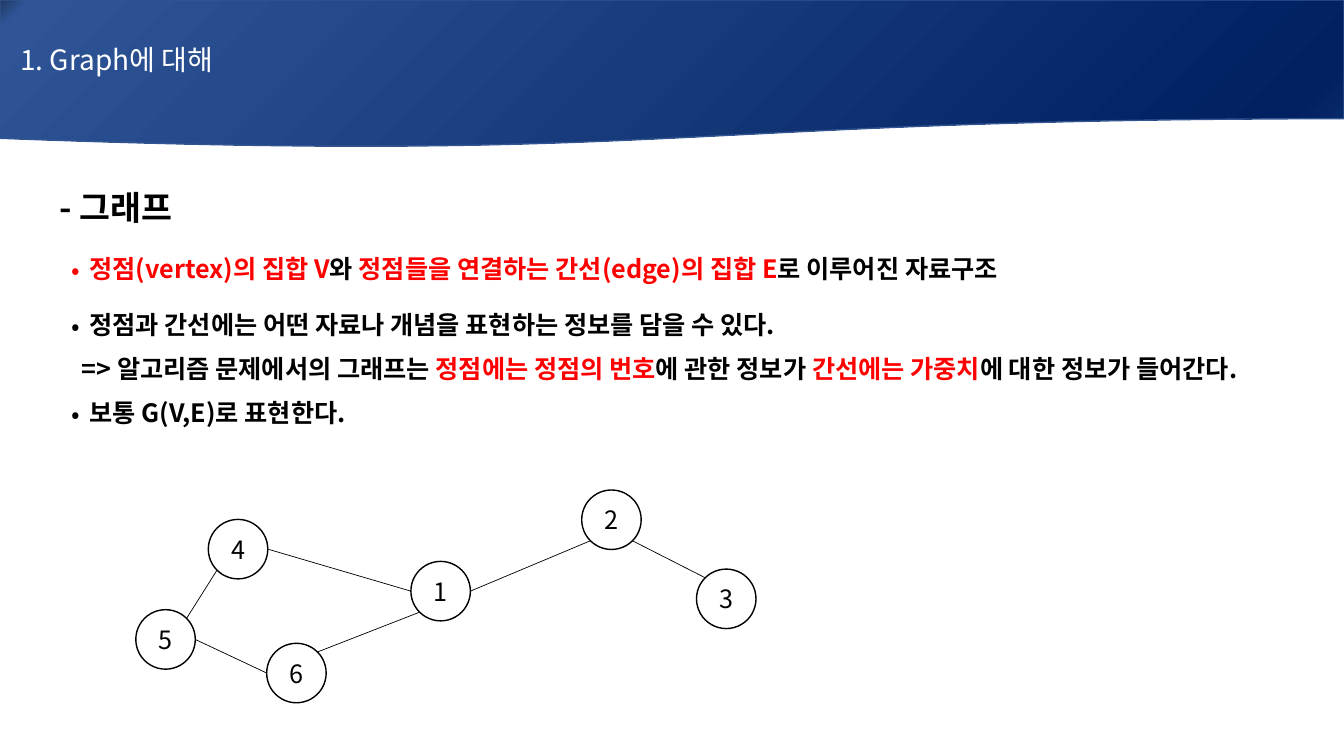
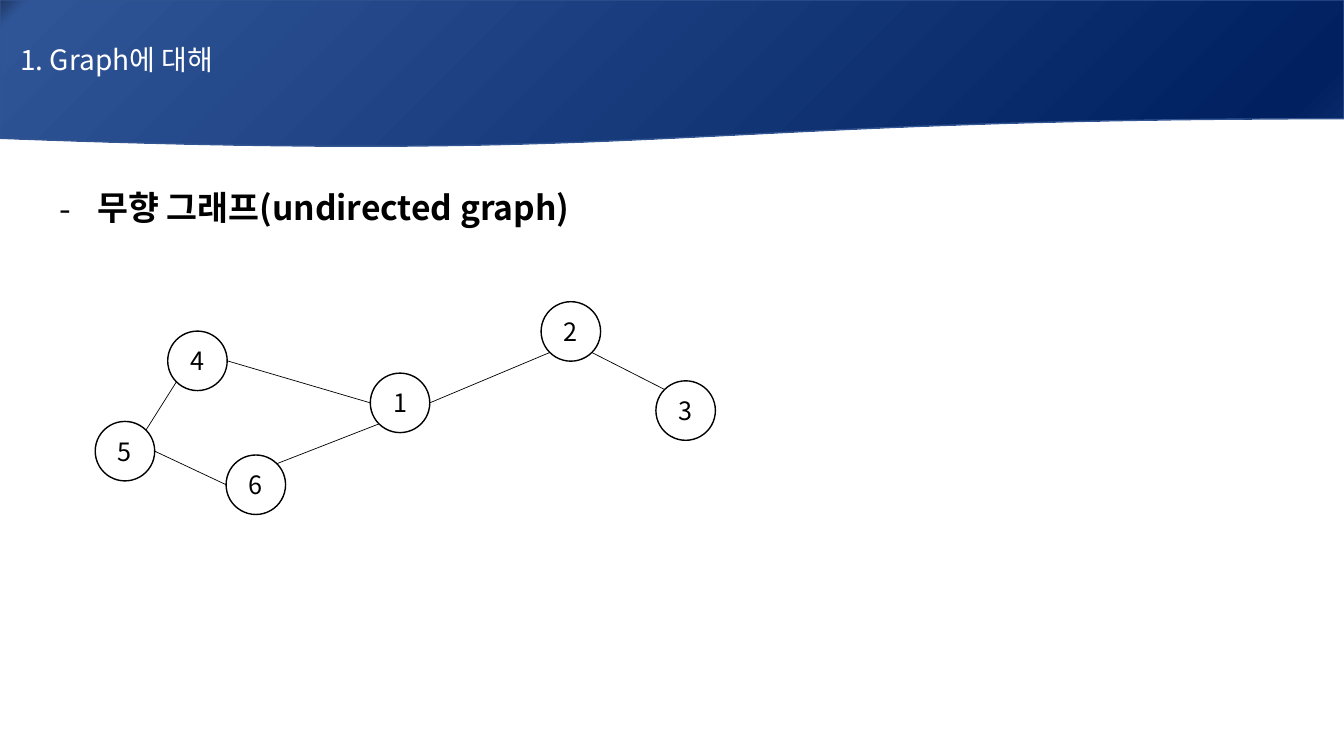
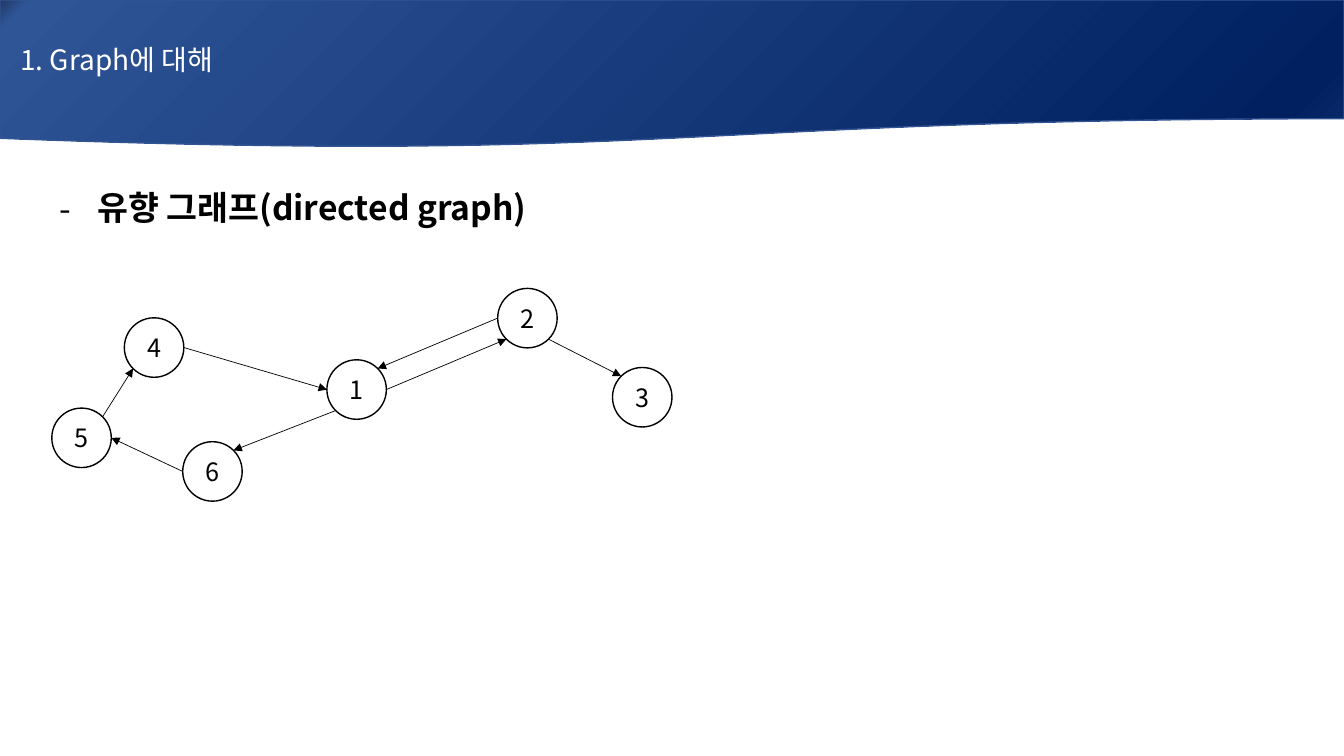
from math import cos, radians, sin

from lxml.etree import SubElement
from pptx import Presentation
from pptx.dml.color import RGBColor
from pptx.enum.shapes import MSO_CONNECTOR as Line, MSO_SHAPE as Form
from pptx.enum.text import MSO_ANCHOR as Anchor, PP_ALIGN as Align
from pptx.oxml.ns import qn
from pptx.util import Pt

FONT = "Noto Sans CJK KR"
BLACK, WHITE, RED = "000000", "FFFFFF", "FF0000"
EDGE = "325491"
STOPS = [(0, "203864"), (2, "2F5597"), (94, "002060"), (100, "0D2E6F")]

WIDE, HIGH = 960, 540
BAND = (0, 0, WIDE, 105.8)
BODY = (35.3, 126, 924.7)

SIZE = 42.5
NODES = {
    4: (51.8, 21),
    1: (196.5, 51),
    3: (400.5, 56.5),
    2: (318.5, 0),
    6: (93.5, 109.5),
    5: (0, 85.5),
}
LEFT, LOW_LEFT, LOW_RIGHT, RIGHT, TOP_RIGHT, TOP_LEFT = 2, 3, 5, 6, 7, 1
PLAIN = [
    (5, TOP_RIGHT, 4, LOW_LEFT),
    (5, RIGHT, 6, LEFT),
    (6, TOP_RIGHT, 1, LOW_LEFT),
    (4, RIGHT, 1, LEFT),
    (1, RIGHT, 2, LOW_LEFT),
    (2, LOW_RIGHT, 3, TOP_LEFT),
]
ARROWS = [
    (1, RIGHT, 2, LOW_LEFT),
    (2, LEFT, 1, TOP_RIGHT),
    (2, LOW_RIGHT, 3, TOP_LEFT),
    (1, LOW_LEFT, 6, TOP_RIGHT),
    (6, LEFT, 5, RIGHT),
    (5, TOP_RIGHT, 4, LOW_LEFT),
    (4, RIGHT, 1, LEFT),
]

POINTS = [
    ("•", 16.5, [("정점(vertex)의 집합 V", RED), ("와 ", BLACK),
                 ("정점들을 연결하는 간선(edge)의 집합 E", RED),
                 ("로 이루어진 자료구조", BLACK)]),
    ("•", 16.5, [("정점과 간선에는 어떤 자료나 개념을 표현하는 정보를 담을 수 있다.", BLACK)]),
    ("", 8, [("=> 알고리즘 문제에서의 그래프는 ", BLACK), ("정점에는 정점의 번호", RED),
             ("에 관한 정보가 ", BLACK), ("간선에는 가중치", RED),
             ("에 대한 정보가 들어간다.", BLACK)]),
    ("•", 8, [("보통 G(V,E)로 표현한다.", BLACK)]),
]


def hue(code):
    return RGBColor.from_string(code)


def style(para, size, color, bold=False):
    font = para.font
    font.name, font.size, font.bold = FONT, Pt(size), bold
    font.color.rgb = hue(color)
    SubElement(font._element, qn("a:ea"), typeface=FONT)


def indent(para, left, first, mark=""):
    props = para._p.get_or_add_pPr()
    props.set("marL", str(Pt(left)))
    props.set("indent", str(Pt(first)))
    if mark:
        face = SubElement(props, qn("a:buFont"), typeface=FONT)
        face.addnext(props.makeelement(qn("a:buChar"), {"char": mark}))


def add_form(slide, form, box, edge):
    shape = slide.shapes.add_shape(form, *map(Pt, box))
    shape.shadow.inherit = False
    shape.line.color.rgb = hue(edge)
    shape.line.width = Pt(1)
    shape.text_frame.vertical_anchor = Anchor.MIDDLE
    return shape


def add_band(slide, box, text):
    band = add_form(slide, Form.FLOWCHART_DOCUMENT, box, EDGE)
    band.fill.gradient()
    band.fill.gradient_angle = 315
    stops = band._element.spPr.find(qn("a:gradFill")).find(qn("a:gsLst"))
    stops.clear()
    for pos, code in STOPS:
        stop = SubElement(stops, qn("a:gs"), pos=str(pos * 1000))
        SubElement(stop, qn("a:srgbClr"), val=code)
    band.text_frame.margin_left = Pt(14.5)
    para = band.text_frame.paragraphs[0]
    para.text = text
    para.alignment = Align.LEFT
    style(para, 20, WHITE)


def add_body(slide, box, title, mark="", points=()):
    frame = slide.shapes.add_textbox(*map(Pt, box)).text_frame
    frame.word_wrap = True
    head = frame.paragraphs[0]
    head.text = title
    head.line_spacing = Pt(33)
    if mark:
        indent(head, 27, -27, mark)
    style(head, 24, BLACK, True)
    for dot, gap, parts in points:
        para = frame.add_paragraph()
        para.line_spacing = Pt(23.4)
        para.space_before = Pt(gap)
        indent(para, *((21.5, -12.5, dot) if dot else (16, 0)))
        style(para, 18, BLACK, True)
        for text, color in parts:
            run = para.add_run()
            run.text = text
            run.font.color.rgb = hue(color)


def add_node(slide, x, y, label):
    node = add_form(slide, Form.OVAL, (x, y, SIZE, SIZE), BLACK)
    node.fill.solid()
    node.fill.fore_color.rgb = hue(WHITE)
    para = node.text_frame.paragraphs[0]
    para.text = str(label)
    para.alignment = Align.CENTER
    style(para, 18, BLACK)
    return node


def site(node, index):
    turn, half = radians(90 + 45 * index), node.width / 2
    return (round(node.left + half + half * cos(turn)),
            round(node.top + half - half * sin(turn)))


def add_link(slide, start, out, end, into, arrow):
    link = slide.shapes.add_connector(
        Line.STRAIGHT, *site(start, out), *site(end, into))
    link.line.color.rgb = hue(BLACK)
    link.line.width = Pt(0.5)
    props = link._element.spPr
    if arrow:
        SubElement(props.find(qn("a:ln")), qn("a:tailEnd"), type="triangle")
    SubElement(props, qn("a:effectLst"))
    glue = link._element.nvCxnSpPr.cNvCxnSpPr
    for tag, node, index in (("a:stCxn", start, out), ("a:endCxn", end, into)):
        SubElement(glue, qn(tag), id=str(node.shape_id), idx=str(index))


def add_graph(slide, left, top, links, arrow=False):
    nodes = {label: add_node(slide, left + x, top + y, label)
             for label, (x, y) in NODES.items()}
    for start, out, end, into in links:
        add_link(slide, nodes[start], out, nodes[end], into, arrow)


def add_page(deck):
    slide = deck.slides.add_slide(deck.slide_layouts[6])
    add_band(slide, BAND, "1. Graph에 대해")
    return slide


def main():
    deck = Presentation()
    deck.slide_width, deck.slide_height = Pt(WIDE), Pt(HIGH)

    page = add_page(deck)
    add_body(page, (*BODY, 204.5), "- 그래프", points=POINTS)
    add_graph(page, 97, 350, PLAIN)

    page = add_page(deck)
    add_body(page, (*BODY, 75), "무향 그래프(undirected graph)", "-")
    add_graph(page, 68, 215.5, PLAIN)

    page = add_page(deck)
    add_body(page, (*BODY, 75), "유향 그래프(directed graph)", "-")
    add_graph(page, 37, 206, ARROWS, True)

    deck.save("out.pptx")


if __name__ == "__main__":
    main()
